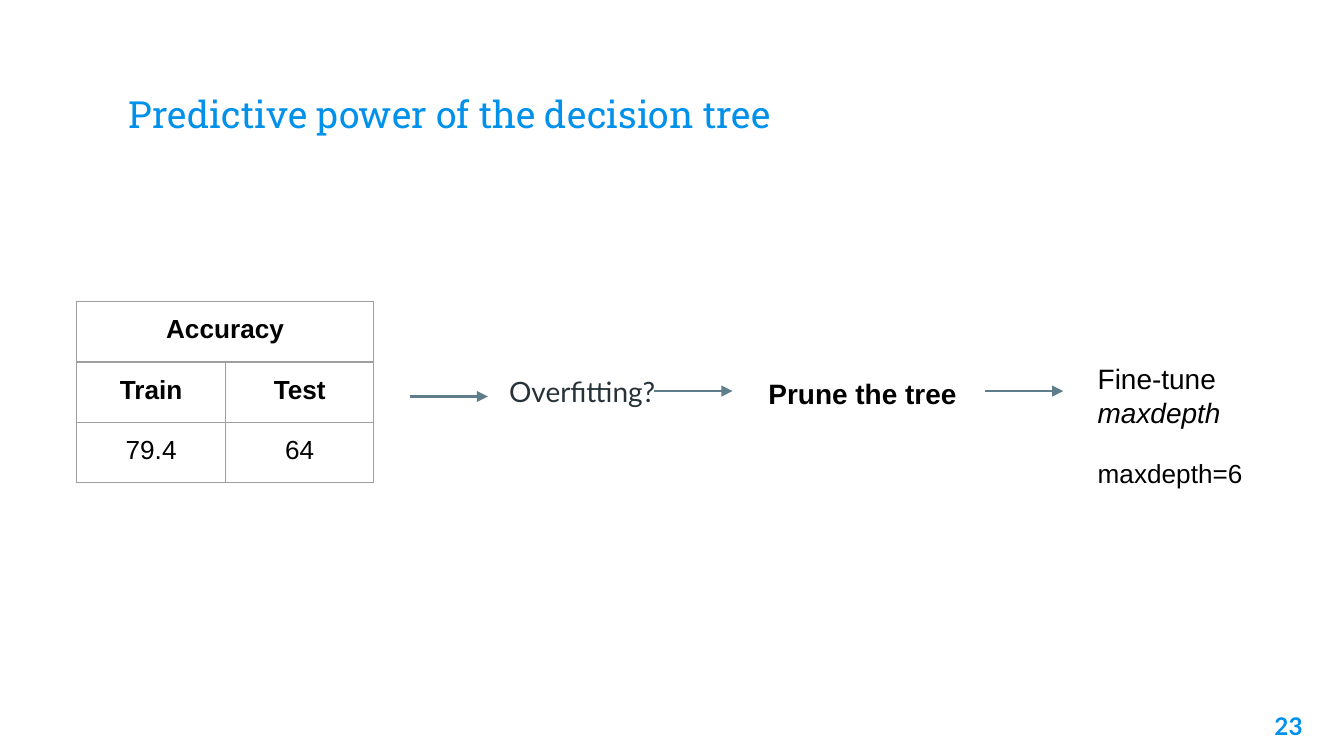
from dataclasses import dataclass
from pptx import Presentation
from pptx.dml.color import RGBColor as RGB
from pptx.enum.shapes import MSO_CONNECTOR as Link
from pptx.enum.text import MSO_ANCHOR as Anchor, MSO_AUTO_SIZE as Auto, PP_ALIGN as Align
from pptx.oxml.ns import qn
from pptx.util import Pt
from lxml.etree import SubElement as sub


@dataclass(frozen=True)
class Theme:
    """Colours, fonts and type sizes of the slide."""
    blue: str = "0091EA"
    slate: str = "607D8B"
    dark: str = "263238"
    black: str = "000000"
    grid: str = "9E9E9E"
    head: str = "Roboto Slab"
    body: str = "Lato"
    plain: str = "Arial"
    title: int = 20
    step: int = 15
    cell: int = 14
    page: int = 13
    pad: float = 7.2


T = Theme()


def style(run, size, face, color, bold=False):
    """Format one run."""
    font = run.font
    font.size, font.name, font.bold = Pt(size), face, bold
    font.color.rgb = RGB.from_string(color)


def pad(item):
    """Give a text frame or a cell the same margin on all sides."""
    item.margin_left = item.margin_right = Pt(T.pad)
    item.margin_top = item.margin_bottom = Pt(T.pad)


def add_text(slide, box, text, size, face, color, bold=False,
             align=Align.LEFT, anchor=Anchor.TOP, grow=False):
    """Add a wrapped text box and return its paragraph."""
    frame = slide.shapes.add_textbox(*map(Pt, box)).text_frame
    frame.word_wrap = True
    frame.auto_size = Auto.SHAPE_TO_FIT_TEXT if grow else Auto.NONE
    frame.vertical_anchor = anchor
    pad(frame)
    frame.text = text
    para = frame.paragraphs[0]
    para.alignment = align
    style(para.runs[0], size, face, color, bold)
    return para


def add_arrow(slide, left, top, width=41.8):
    """Add a level arrow that points right."""
    arrow = slide.shapes.add_connector(
        Link.STRAIGHT, Pt(left), Pt(top), Pt(left + width), Pt(top))
    arrow.line.color.rgb = RGB.from_string(T.slate)
    arrow.line.width = Pt(1.5)
    sub(arrow.line._get_or_add_ln(), qn("a:tailEnd"), type="triangle")
    sub(arrow._element.spPr, qn("a:effectLst"))


def add_edges(cell):
    """Draw the four borders of a cell."""
    props = cell._tc.get_or_add_tcPr()
    for side in ("lnL", "lnR", "lnT", "lnB"):
        line = sub(props, qn(f"a:{side}"), w=str(Pt(0.75)))
        fill = sub(line, qn("a:solidFill"))
        sub(fill, qn("a:srgbClr"), val=T.grid)


def add_grid(slide, left, top, widths, height, rows):
    """Add a table whose first row is one merged heading."""
    grid = slide.shapes.add_table(
        len(rows), len(widths), Pt(left), Pt(top),
        Pt(sum(widths)), Pt(height * len(rows))).table
    grid.first_row = grid.horz_banding = False
    for col, width in zip(grid.columns, widths):
        col.width = Pt(width)
    for r, row in enumerate(rows):
        grid.rows[r].height = Pt(height)
        for c, text in enumerate(row):
            cell = grid.cell(r, c)
            pad(cell)
            add_edges(cell)
            cell.fill.background()
            para = cell.text_frame.paragraphs[0]
            para.text = text
            para.alignment = Align.CENTER
            for run in para.runs:
                style(run, T.cell, T.plain, T.black, r < len(rows) - 1)
    grid.cell(0, 0).merge(grid.cell(0, len(widths) - 1))


def main():
    """Build and save the slide."""
    deck = Presentation()
    deck.slide_width, deck.slide_height = Pt(720), Pt(405)
    slide = deck.slides.add_slide(deck.slide_layouts[6])

    add_text(slide, (61.9, 24.5, 596.2, 55.4), "Predictive power of the decision tree",
             T.title, T.head, T.blue, anchor=Anchor.BOTTOM)
    add_text(slide, (661.7, 373.7, 43.2, 31), "23",
             T.page, T.body, T.blue, True, Align.RIGHT)
    add_grid(slide, 41, 161.5, (80, 79.2), 32.4,
             (("Accuracy", ""), ("Train", "Test"), ("79.4", "64")))

    add_text(slide, (265.7, 193.7, 95.8, 44.6), "Overfitting?", T.step, T.body, T.dark)
    add_text(slide, (404.6, 194.4, 127.4, 35.3), "Prune the tree",
             T.step, T.plain, T.black, True)
    tune = add_text(slide, (581, 186.5, 95.8, 51.1), "Fine-tune ",
                    T.step, T.plain, T.black, grow=True)
    word = tune.add_run()
    word.text = "maxdepth"
    style(word, T.step, T.plain, T.black)
    word.font.italic = True
    add_text(slide, (581, 237.6, 103.7, 31.7), "maxdepth=6",
             T.cell, T.plain, T.black, grow=True)

    for left, top in ((219.6, 212.4), (350.6, 209.5), (527.8, 209.5)):
        add_arrow(slide, left, top)
    deck.save("out.pptx")


if __name__ == "__main__":
    main()
